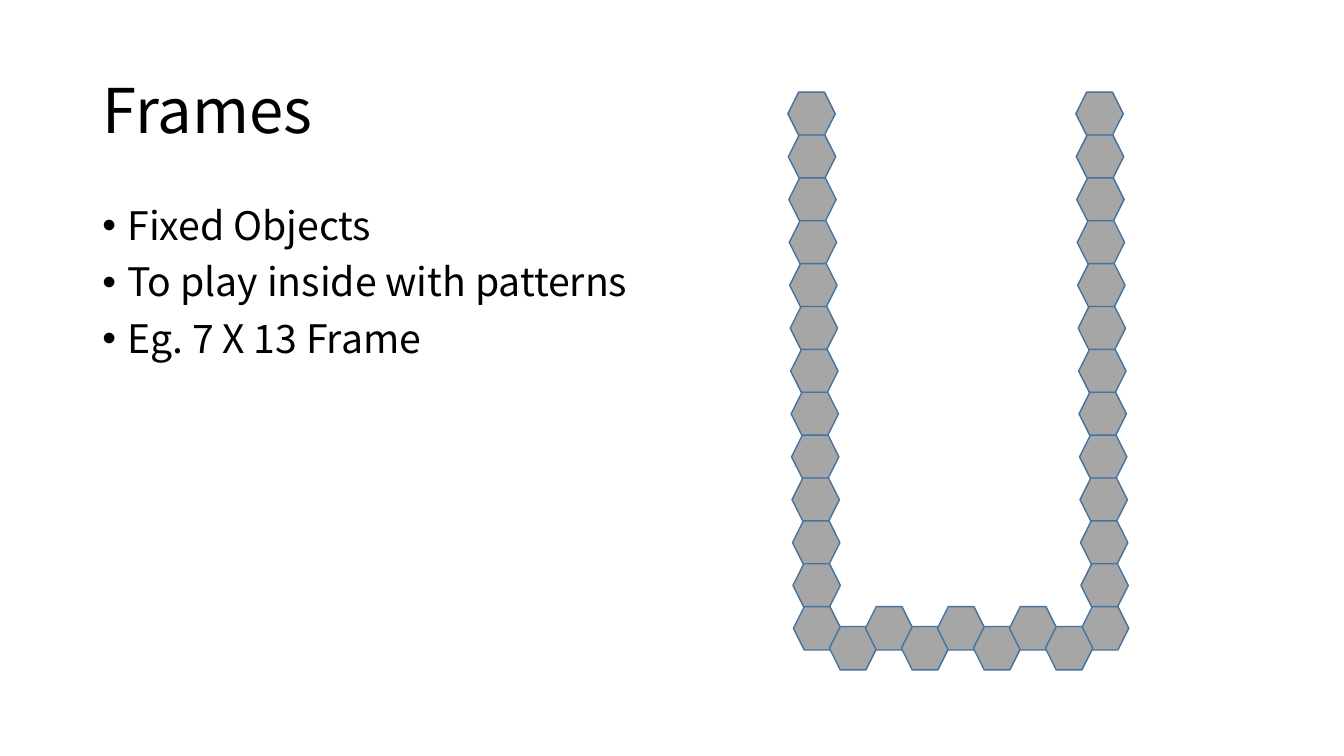
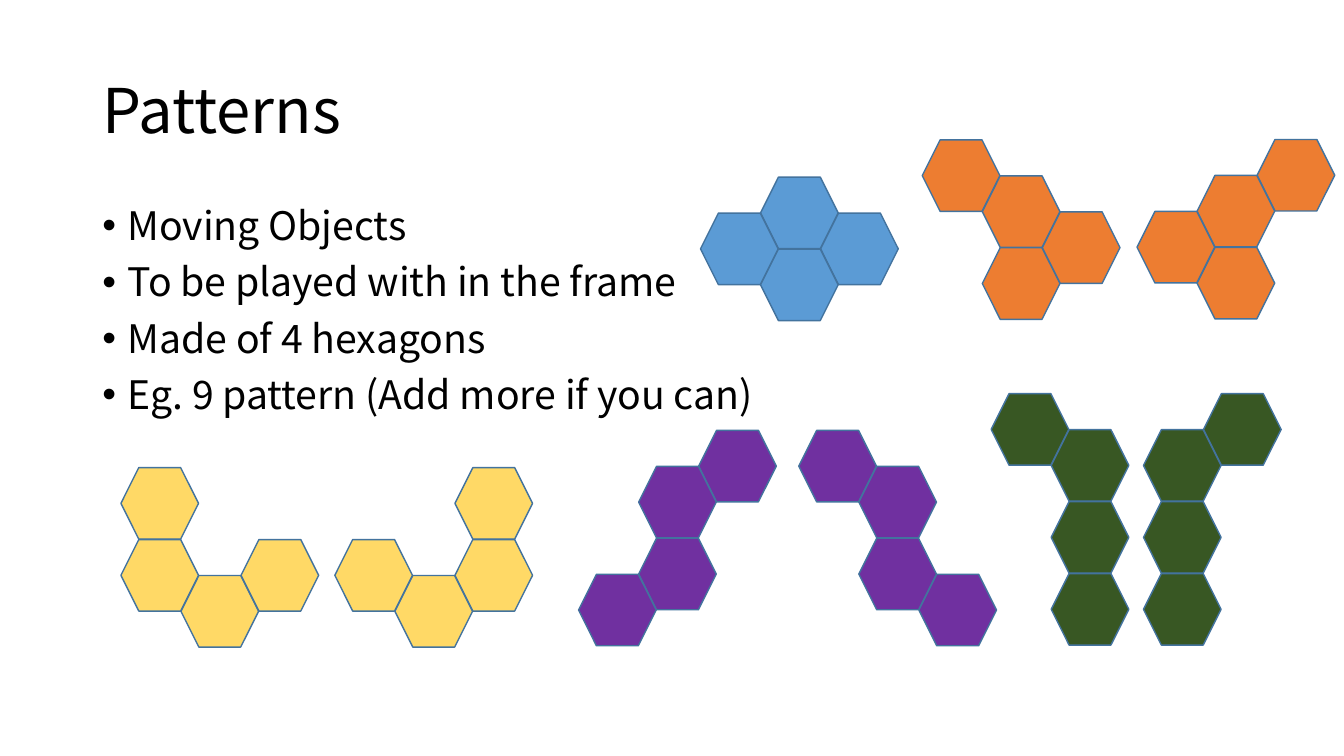
from lxml.etree import SubElement
from pptx import Presentation
from pptx.dml.color import RGBColor
from pptx.enum.shapes import MSO_SHAPE
from pptx.enum.text import MSO_ANCHOR, PP_ALIGN
from pptx.oxml.ns import qn
from pptx.util import Pt

FONT = "Noto Sans CJK KR"
BLACK = RGBColor(0x00, 0x00, 0x00)
OUTLINE = RGBColor(0x43, 0x73, 0x9E)
GRAY = RGBColor(0xA6, 0xA6, 0xA6)
BLUE = RGBColor(0x5B, 0x9B, 0xD5)
ORANGE = RGBColor(0xED, 0x7D, 0x31)
PURPLE = RGBColor(0x70, 0x30, 0xA0)
GREEN = RGBColor(0x38, 0x57, 0x23)
YELLOW = RGBColor(0xFF, 0xD9, 0x66)

# Content
FRAMES = ("Frames", ["Fixed Objects", "To play inside with patterns", "Eg. 7 X 13 Frame"])
PATTERNS = ("Patterns", ["Moving Objects", "To be played with in the frame",
                         "Made of 4 hexagons", "Eg. 9 pattern (Add more if you can)"])

# Pattern: colour, cells as (column, half row), origin, origin of its mirror image
TILES = [
    (BLUE, [(1, 0), (2, 1), (1, 2), (0, 1)], (500.4, 126.5), None),
    (ORANGE, [(0, 0), (1, 1), (1, 3), (2, 2)], (658.8, 99.9), (812.2, 99.6)),
    (PURPLE, [(2, 0), (1, 3), (1, 1), (0, 4)], (413.3, 307.4), (570.6, 307.4)),
    (GREEN, [(0, 0), (1, 1), (1, 3), (1, 5)], (708, 281.2), (816.8, 281.2)),
    (YELLOW, [(0, 0), (0, 2), (1, 3), (2, 2)], (86.4, 334), (239.2, 334)),
]
TILE_SIZE = (55.44, 51.12)
TILE_STEP, TILE_HALF_ROW = 42.9, 25.7

# Frame: two leaning walls joined by a zigzag floor
FRAME_SIZE = (33.84, 30.96)
WALL_LEFTS, WALL_TOP, WALL_ROWS = (562.8, 768.5), 65.8, 13
WALL_STEP, WALL_LEAN = 30.63, 0.33
FLOOR_CELLS, FLOOR_DROP = 7, 14.2


def style_paragraph(p, size):
    p.alignment = PP_ALIGN.LEFT
    p.line_spacing = 0.9
    for r in p.runs:
        r.font.name = FONT
        r.font.size = Pt(size)
        r.font.color.rgb = BLACK


def add_bullet(p):
    p.space_before = Pt(10)
    pPr = p._p.get_or_add_pPr()
    pPr.set("marL", str(Pt(18)))
    pPr.set("indent", str(-Pt(18)))
    SubElement(pPr, qn("a:buFont")).set("typeface", "Arial")
    SubElement(pPr, qn("a:buChar")).set("char", "\u2022")


def add_slide(prs, title, bullets, body_width):
    s = prs.slides.add_slide(prs.slide_layouts[5])
    sp = s.shapes.title
    sp.left, sp.top, sp.width, sp.height = Pt(66), Pt(28.8), Pt(828), Pt(104.4)
    tf = sp.text_frame
    tf.text = title
    tf.vertical_anchor = MSO_ANCHOR.MIDDLE
    style_paragraph(tf.paragraphs[0], 44)

    tf = s.shapes.add_textbox(Pt(66), Pt(144), Pt(body_width), Pt(342.7)).text_frame
    tf.word_wrap = True
    tf.text = "\n".join(bullets)
    for p in tf.paragraphs:
        style_paragraph(p, 28)
        add_bullet(p)
    return s


def add_hexagons(s, corners, size, color):
    """Group equal hexagons placed at the given top left corners."""
    group = s.shapes.add_group_shape()
    for x, y in corners:
        sp = group.shapes.add_shape(MSO_SHAPE.HEXAGON, Pt(x), Pt(y), Pt(size[0]), Pt(size[1]))
        sp.shadow.inherit = False
        sp.fill.solid()
        sp.fill.fore_color.rgb = color
        sp.line.color.rgb = OUTLINE
        sp.line.width = Pt(1)


def frame_corners():
    rows = range(WALL_ROWS)
    walls = [(left + i * WALL_LEAN, WALL_TOP + i * WALL_STEP)
             for left in WALL_LEFTS for i in rows]
    start, floor_top = walls[WALL_ROWS - 1]
    step = (walls[-1][0] - start) / (FLOOR_CELLS + 1)
    floor = [(start + i * step, floor_top + i % 2 * FLOOR_DROP)
             for i in range(1, FLOOR_CELLS + 1)]
    return walls + floor


def tile_corners(cells, origin):
    return [(origin[0] + col * TILE_STEP, origin[1] + half * TILE_HALF_ROW)
            for col, half in cells]


prs = Presentation()
prs.slide_width, prs.slide_height = Pt(960), Pt(540)

# Frames
s = add_slide(prs, *FRAMES, body_width=828)
add_hexagons(s, frame_corners(), FRAME_SIZE, GRAY)

# Patterns
s = add_slide(prs, *PATTERNS, body_width=488.2)
for color, cells, origin, mirror_origin in TILES:
    add_hexagons(s, tile_corners(cells, origin), TILE_SIZE, color)
    if mirror_origin:
        last = max(col for col, half in cells)
        mirrored = [(last - col, half) for col, half in cells]
        add_hexagons(s, tile_corners(mirrored, mirror_origin), TILE_SIZE, color)

prs.save("out.pptx")
